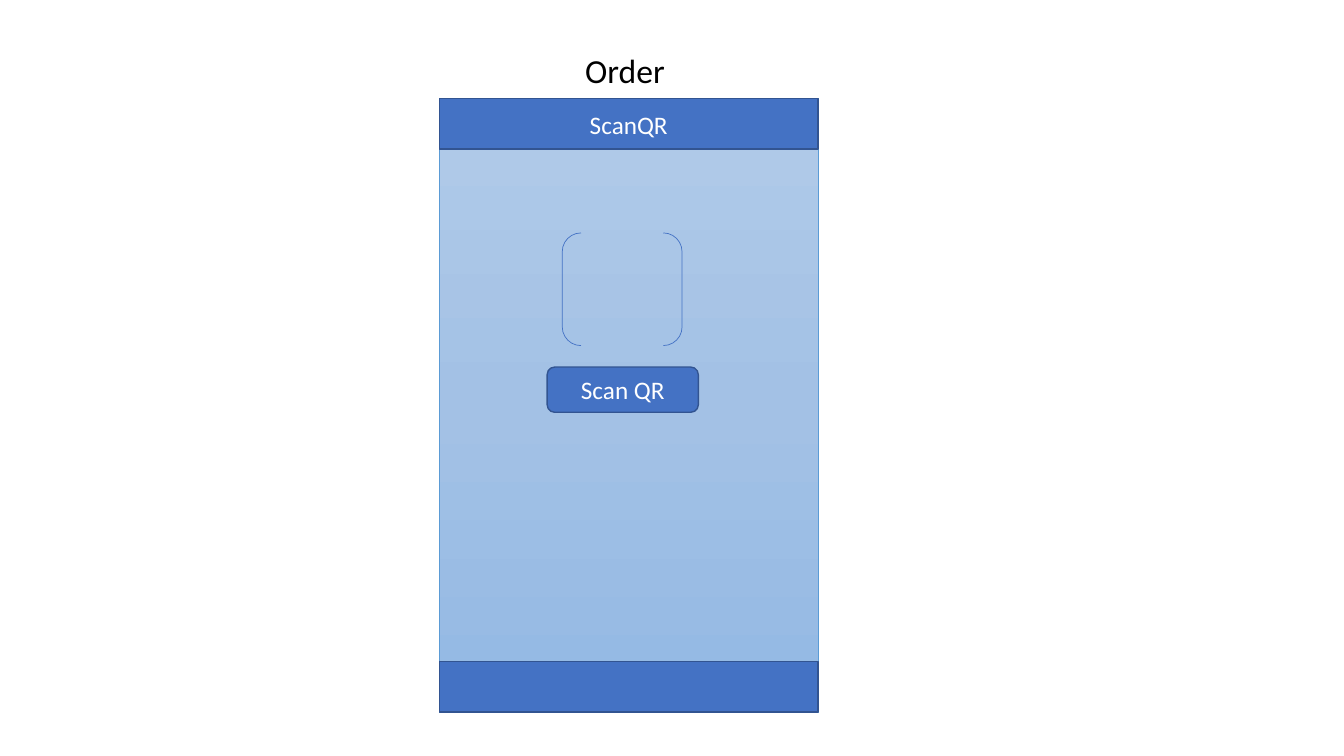
"""Build the slide with the phone screen for scanning an order."""
from copy import deepcopy

from pptx import Presentation
from pptx.dml.color import RGBColor
from pptx.enum.shapes import MSO_SHAPE as Shape
from pptx.enum.text import MSO_ANCHOR as Anchor, MSO_AUTO_SIZE as AutoSize, PP_ALIGN as Align
from pptx.oxml.ns import qn
from pptx.util import Cm, Pt

COLORS = {
    "black": "000000", "white": "FFFFFF", "blue": "4472C4", "edge": "325491",
    "screen_edge": "5B9BD5", "top": "B1CBE9", "middle": "A3C1E5", "bottom": "93B9E4",
}


def color(name):
    return RGBColor.from_string(COLORS[name])


def write(frame, text, size=18, ink="white", font="Calibri", wrap=True):
    frame.word_wrap = wrap
    frame.vertical_anchor = Anchor.MIDDLE
    para = frame.paragraphs[0]
    para.alignment = Align.CENTER
    span = para.add_run()
    span.text = text
    span.font.size = Pt(size)
    span.font.name = font
    span.font.color.rgb = color(ink)


class Mockup:
    def __init__(self, slide):
        self.slide = slide
        self.phone = slide.shapes.add_group_shape()

    def outline(self, kind, place, line="edge", width=1, parent=None):
        box = (parent or self.slide).shapes.add_shape(kind, *map(Cm, place))
        box.shadow.inherit = False
        box.line.color.rgb = color(line)
        box.line.width = Pt(width)
        return box

    def block(self, place, text="", kind=Shape.RECTANGLE, parent=None):
        box = self.outline(kind, place, parent=parent)
        box.fill.solid()
        box.fill.fore_color.rgb = color("blue")
        if text:
            write(box.text_frame, text)

    def screen(self, place):
        box = self.outline(Shape.RECTANGLE, place, "screen_edge", 0.5, self.phone)
        box.fill.gradient()
        box.fill.gradient_angle = 270
        stop_list = box._element.spPr.find(".//" + qn("a:gsLst"))
        stop_list.append(deepcopy(stop_list[0]))
        for index, (stop, name) in enumerate(zip(box.fill.gradient_stops, ("top", "middle", "bottom"))):
            stop.position = index / 2
            stop.color.rgb = color(name)

    def brackets(self, place):
        self.outline(Shape.DOUBLE_BRACKET, place, "blue", 0.5).fill.background()

    def title(self, place, text):
        box = self.slide.shapes.add_textbox(*map(Cm, place))
        write(box.text_frame, text, size=24, ink="black", wrap=False)
        box.text_frame.auto_size = AutoSize.SHAPE_TO_FIT_TEXT


def main():
    deck = Presentation()
    deck.slide_width, deck.slide_height = Cm(33.87), Cm(19.05)
    page = deck.slides.add_slide(deck.slide_layouts[6])
    left, top, width, height, bar = 11.07, 2.49, 9.55, 15.45, 1.27

    mockup = Mockup(page)
    mockup.screen((left, top, width, height))
    mockup.block((left, top, width, bar), "ScanQR", parent=mockup.phone)
    mockup.block((left, top + height - bar, width, bar), parent=mockup.phone)
    mockup.title((14.48, 1.12, 2.54, 1.27), "Order")
    mockup.brackets((14.17, 5.87, 3.02, 2.84))
    mockup.block((13.79, 9.25, 3.81, 1.14), "Scan QR", Shape.ROUNDED_RECTANGLE)
    deck.save("out.pptx")


if __name__ == "__main__":
    main()
